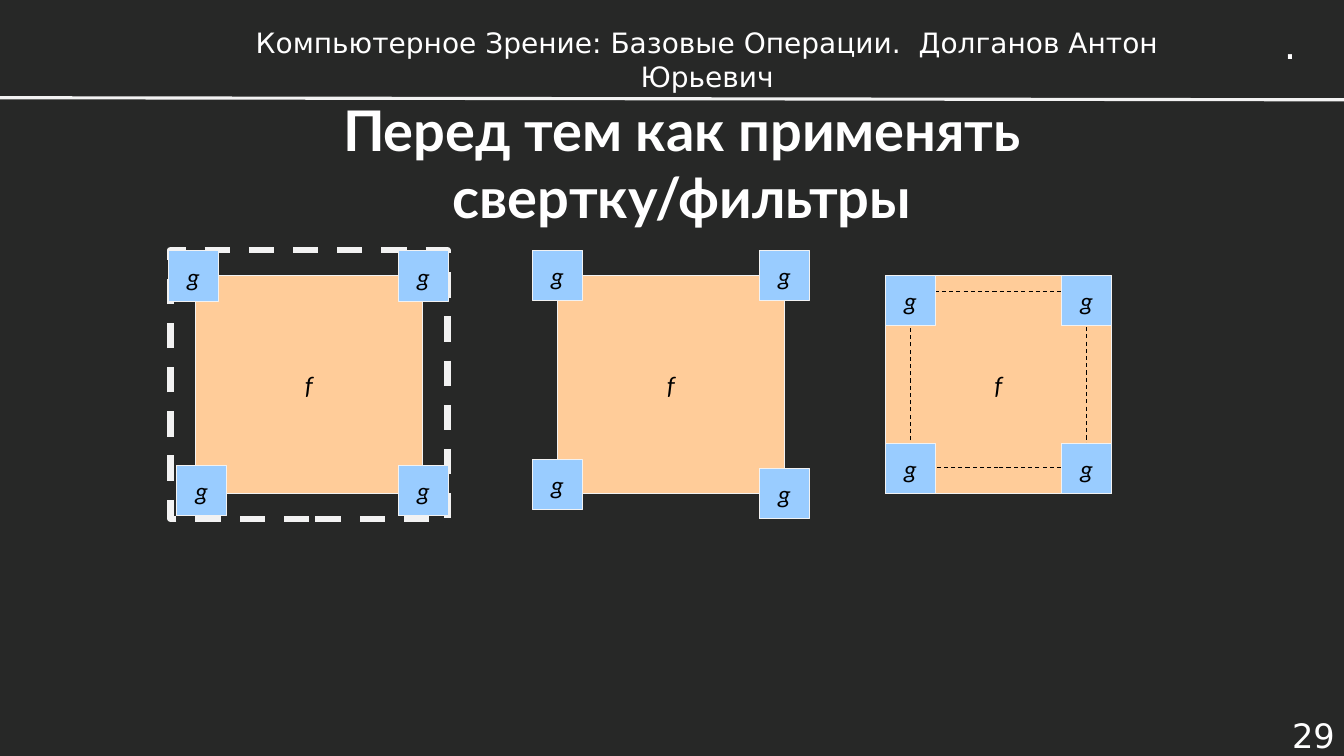
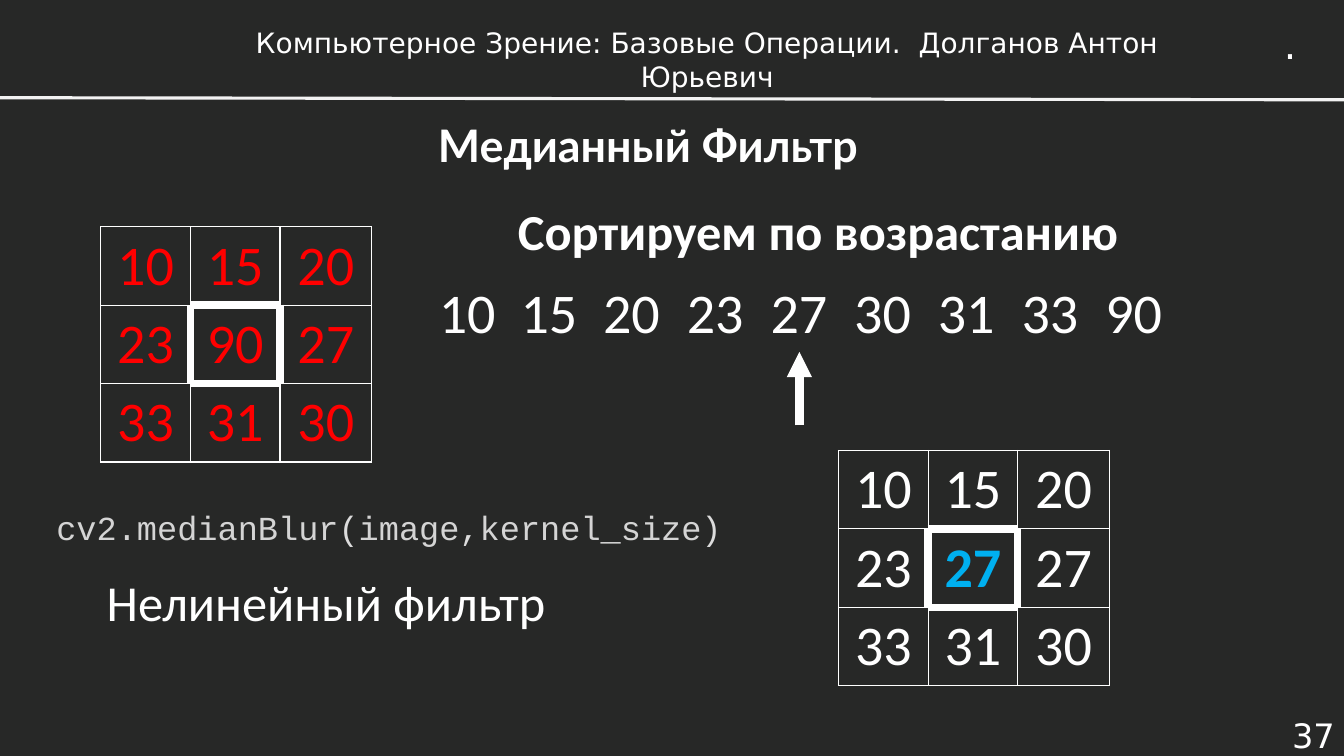
from lxml.etree import SubElement
from pptx import Presentation
from pptx.dml.color import RGBColor
from pptx.enum.dml import MSO_LINE
from pptx.enum.shapes import MSO_CONNECTOR, MSO_SHAPE
from pptx.enum.text import MSO_ANCHOR, PP_ALIGN
from pptx.oxml.ns import qn
from pptx.util import Pt

COLORS = {
    "background": "272827", "white": "FFFFFF", "rule": "F2F2F2", "black": "000000",
    "image": "FFCC99", "kernel": "99CCFF", "red": "FF0000", "median": "00B0F0",
    "code": "D4D4D4", "punctuation": "DCDCDC",
}
HEADER = "Компьютерное Зрение: Базовые Операции.  Долганов Антон Юрьевич"

IMAGE_TOP, IMAGE_WIDTH, IMAGE_HEIGHT, KERNEL = 196.6, 162, 156, 36
PANELS = [
    {"left": 139.7, "overhang": 18, "frame": (121.7, 178.6, 198, 192), "frame_line": ("rule", 4.5),
     "nudges": {"top left": (-1.5, 0.7), "top right": (0.7, 0.7),
                "bottom left": (4.3, -2), "bottom right": (0.7, -2)}},
    {"left": 398.2, "overhang": 18, "nudges": {"bottom left": (0, -6.3)}},
    {"left": 632.2, "overhang": 0, "frame": (650.2, 208.1, 126, 126), "frame_line": ("black", 0.75),
     "nudges": {}},
]

NOISY = [["10", "15", "20"], ["23", "90", "27"], ["33", "31", "30"]]
FILTERED = [["10", "15", "20"], ["23", "27", "27"], ["33", "31", "30"]]
SORTED = [sorted((value for row in NOISY for value in row), key=int)]
GRID_COLUMNS = [64, 64, 65.5]
SORTED_COLUMNS = [58.3] * 2 + [59.8] * 7
ROW_HEIGHT = 56
CENTER = (1, 1)
SIDES = {"a:lnL": (0, -1), "a:lnR": (0, 1), "a:lnT": (-1, 0), "a:lnB": (1, 0)}
CODE = [("cv2.medianBlur", "code"), ("(", "punctuation"), ("image", "code"),
        (",", "punctuation"), ("kernel_size", "code"), (")", "punctuation")]


def color(name):
    return RGBColor.from_string(COLORS[name])


def write(frame, runs, size, font, align=PP_ALIGN.LEFT, bold=False, italic=False):
    paragraph = frame.paragraphs[0]
    paragraph.alignment = align
    for text, color_name in runs:
        run = paragraph.add_run()
        run.text = text
        run.font.size = Pt(size)
        run.font.name = font
        run.font.bold = bold
        run.font.italic = italic
        run.font.color.rgb = color(color_name)


def add_text(slide, box, runs, size, font, anchor=MSO_ANCHOR.MIDDLE, wrap=True, **style):
    frame = slide.shapes.add_textbox(*map(Pt, box)).text_frame
    frame.word_wrap = wrap
    frame.vertical_anchor = anchor
    write(frame, runs, size, font, **style)


def add_line(slide, start, end, color_name, width, arrow=False):
    connector = slide.shapes.add_connector(MSO_CONNECTOR.STRAIGHT, *map(Pt, start + end))
    connector.line.color.rgb = color(color_name)
    connector.line.width = Pt(width)
    properties = connector.element.spPr
    if arrow:
        SubElement(properties.find(qn("a:ln")), qn("a:tailEnd"), type="triangle")
    SubElement(properties, qn("a:effectLst"))


def add_rectangle(slide, box, line, fill=None, label=None):
    shape = slide.shapes.add_shape(MSO_SHAPE.RECTANGLE, *map(Pt, box))
    shape.shadow.inherit = False
    shape.line.color.rgb = color(line[0])
    shape.line.width = Pt(line[1])
    if fill:
        shape.fill.solid()
        shape.fill.fore_color.rgb = color(fill)
    else:
        shape.fill.background()
        shape.line.dash_style = MSO_LINE.DASH
    if label:
        shape.text_frame.word_wrap = False
        shape.text_frame.vertical_anchor = MSO_ANCHOR.MIDDLE
        write(shape.text_frame, [(label, "black")], 18, "Calibri", PP_ALIGN.CENTER, italic=True)


def add_panel(slide, panel):
    left, overhang = panel["left"], panel["overhang"]
    thin = ("rule", 0.75)
    add_rectangle(slide, (left, IMAGE_TOP, IMAGE_WIDTH, IMAGE_HEIGHT), thin, "image", "f")
    if "frame" in panel:
        add_rectangle(slide, panel["frame"], panel["frame_line"])
    rows = {"top": IMAGE_TOP - overhang, "bottom": IMAGE_TOP + IMAGE_HEIGHT - KERNEL + overhang}
    columns = {"left": left - overhang, "right": left + IMAGE_WIDTH - KERNEL + overhang}
    for row, y in rows.items():
        for column, x in columns.items():
            shift_x, shift_y = panel["nudges"].get(f"{row} {column}", (0, 0))
            add_rectangle(slide, (x + shift_x, y + shift_y, KERNEL, KERNEL), thin, "kernel", "g")


def set_borders(cell, position, bordered):
    properties = cell._tc.get_or_add_tcPr()
    for tag, (down, across) in SIDES.items():
        neighbor = (position[0] + down, position[1] + across)
        width = 6 if CENTER in (position, neighbor) else 1
        border = SubElement(properties, qn(tag), w=str(Pt(width)))
        if bordered:
            fill = SubElement(border, qn("a:solidFill"))
            SubElement(fill, qn("a:srgbClr"), val=COLORS["white"])
        else:
            SubElement(border, qn("a:noFill"))


def add_number_table(slide, left, top, values, widths, color_name, center_color=None, bordered=True):
    table = slide.shapes.add_table(len(values), len(widths), Pt(left), Pt(top),
                                   Pt(sum(widths)), Pt(ROW_HEIGHT * len(values))).table
    table.first_row = table.horz_banding = False
    for column, width in zip(table.columns, widths):
        column.width = Pt(width)
    for row, numbers in enumerate(values):
        table.rows[row].height = Pt(ROW_HEIGHT)
        for column, number in enumerate(numbers):
            cell = table.cell(row, column)
            highlighted = center_color is not None and (row, column) == CENTER
            set_borders(cell, (row, column), bordered)
            cell.fill.background()
            cell.vertical_anchor = MSO_ANCHOR.MIDDLE
            write(cell.text_frame, [(number, center_color if highlighted else color_name)],
                  40, "Calibri", PP_ALIGN.CENTER, bold=highlighted)


def add_slide(presentation, title, title_box, title_size, number):
    slide = presentation.slides.add_slide(presentation.slide_layouts[6])
    add_text(slide, title_box, [(title, "white")], title_size, "Lato",
             align=PP_ALIGN.CENTER, bold=True)
    add_text(slide, (884.9, 509.8, 75.6, 30.2), [(number, "white")], 24, "DejaVu Sans",
             align=PP_ALIGN.RIGHT)
    add_line(slide, (0, 69.8), (960, 71.3), "rule", 2.25)
    add_text(slide, (910, 10.8, 24.5, 41), [(".", "white")], 28, "DejaVu Sans",
             MSO_ANCHOR.TOP, wrap=False)
    add_text(slide, (128.2, 31.7, 753.8, 21.6), [(HEADER, "white")], 20, "DejaVu Sans",
             align=PP_ALIGN.CENTER)
    return slide


def build_padding_slide(presentation):
    slide = add_slide(presentation, "Перед тем как применять свертку/фильтры",
                      (77.8, 83.5, 818.6, 65.5), 40, "29")
    for panel in PANELS:
        add_panel(slide, panel)


def build_median_slide(presentation):
    slide = add_slide(presentation, "Медианный Фильтр", (151.2, 70.6, 623.5, 65.5), 32, "37")
    add_number_table(slide, 72, 162, NOISY, GRID_COLUMNS, "red")
    add_number_table(slide, 304.6, 196.6, SORTED, SORTED_COLUMNS, "white", bordered=False)
    add_number_table(slide, 599, 321.8, FILTERED, GRID_COLUMNS, "white", "median")
    add_text(slide, (362.9, 139.7, 471.6, 51), [("Сортируем по возрастанию", "white")],
             36, "Calibri", MSO_ANCHOR.TOP, bold=True)
    add_line(slide, (571, 303.8), (571, 251.3), "white", 6, arrow=True)
    add_text(slide, (69.1, 404.6, 355, 51), [("Нелинейный фильтр", "white")],
             36, "Calibri", MSO_ANCHOR.TOP)
    add_text(slide, (33.1, 358.6, 493.2, 36), CODE, 24, "Courier New", MSO_ANCHOR.TOP, wrap=False)


def main():
    presentation = Presentation()
    presentation.slide_width = Pt(960)
    presentation.slide_height = Pt(540)
    background = presentation.slide_master.background.fill
    background.solid()
    background.fore_color.rgb = color("background")
    build_padding_slide(presentation)
    build_median_slide(presentation)
    presentation.save("out.pptx")


if __name__ == "__main__":
    main()
